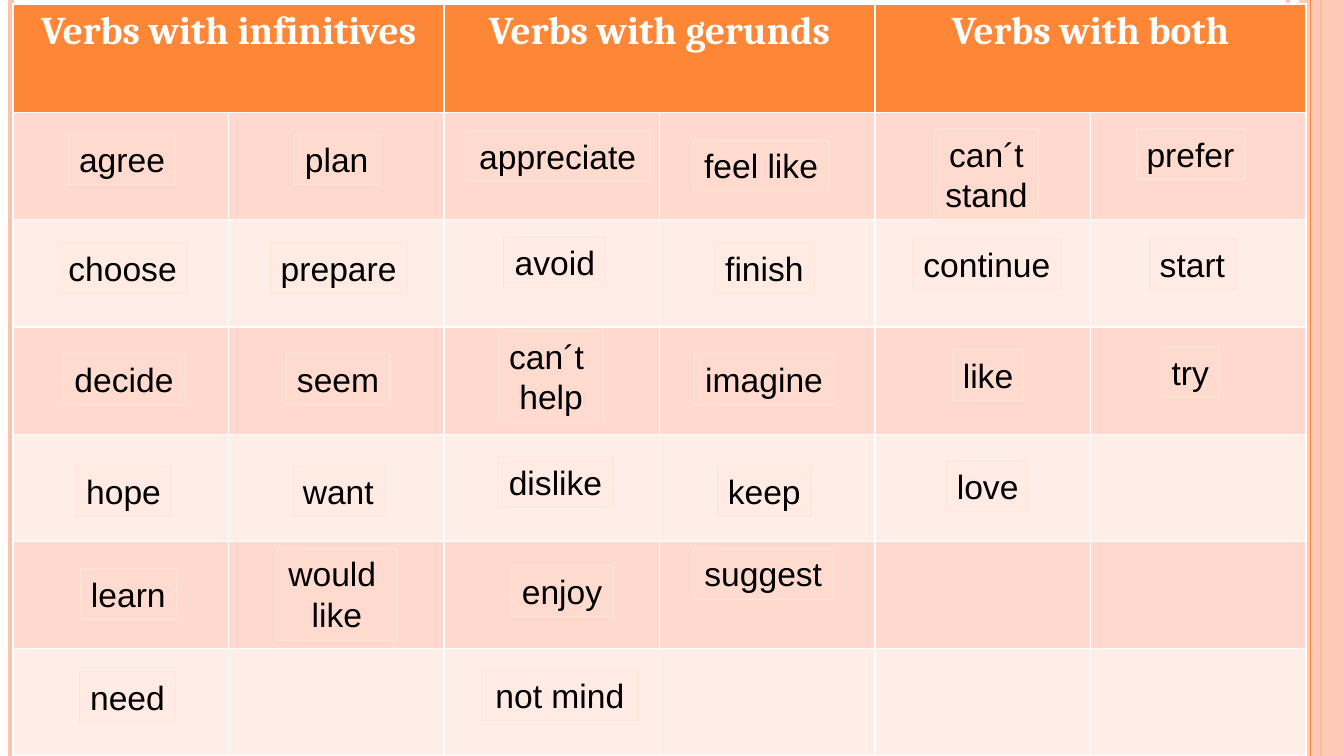
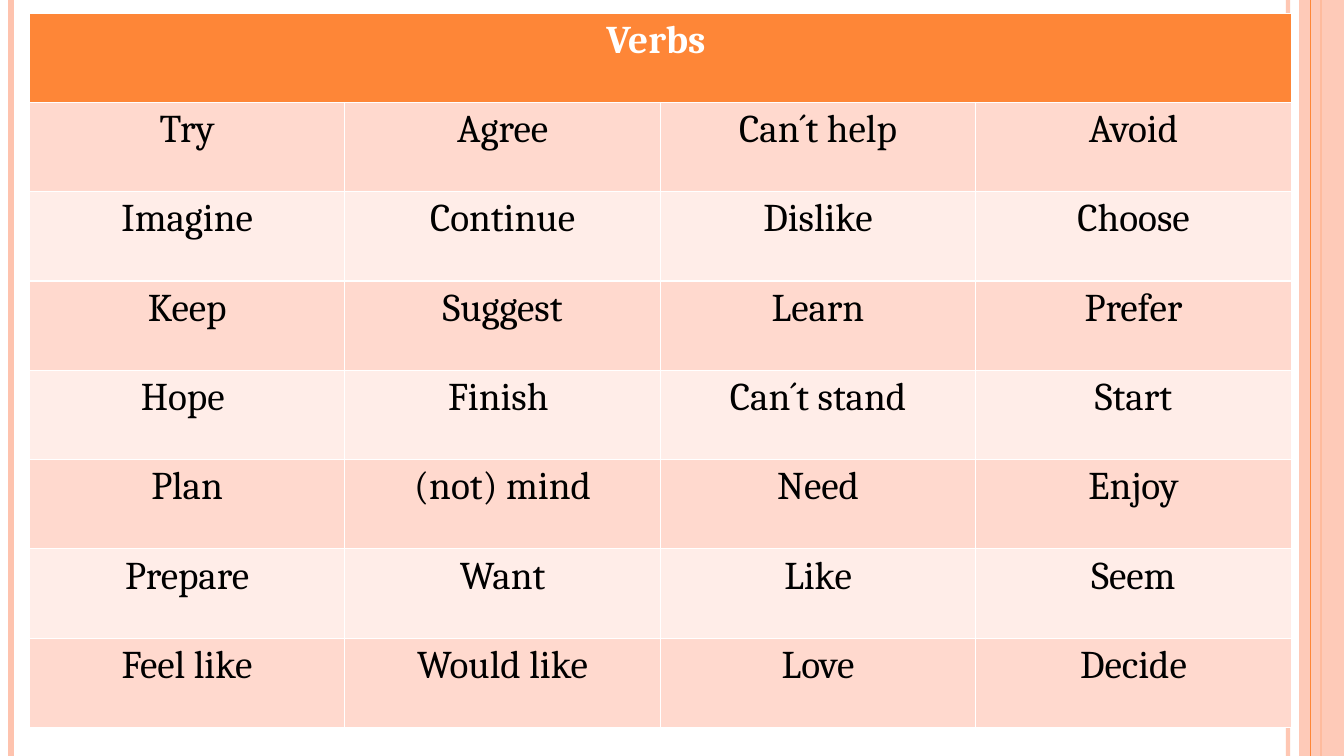
"""Build two slides that sort English verbs by the form that follows them."""
from pptx import Presentation
from pptx.dml.color import RGBColor as RGB
from pptx.enum.shapes import MSO_CONNECTOR as LINK, MSO_SHAPE as SHAPE
from pptx.enum.text import MSO_AUTO_SIZE as AUTO, PP_ALIGN as ALIGN
from pptx.oxml.ns import qn
from pptx.oxml.xmlchemy import OxmlElement as Node
from pptx.util import Cm, Pt

HUES = {
    "head": "FE8637", "edge": "FEC3AE", "odd": "FFD9CE", "even": "FFEDE8",
    "chip": "FFE7D7", "white": "FFFFFF", "black": "000000",
}
INK = {name: RGB.from_string(code) for name, code in HUES.items()}
WIDE, HIGH = 33.87, 19.05


def fade(shape, part):
    """Make the first colour of a shape partly clear."""
    alpha = Node("a:alpha")
    alpha.set("val", str(part * 1000))
    next(shape.element.iter(qn("a:srgbClr"))).append(alpha)


def grid(slide, left, top, width, heights, heads, body):
    """Add a banded table whose headings share its width equally."""
    count = len(body[0])
    span = count // len(heads)
    table = slide.shapes.add_table(
        len(heights), count, Cm(left), Cm(top),
        Cm(width * count), Cm(sum(heights))).table
    for col in table.columns:
        col.width = Cm(width)
    for row, high in zip(table.rows, heights):
        row.height = Cm(high)
    for n, text in enumerate(heads):
        first = table.cell(0, n * span)
        first.merge(table.cell(0, n * span + span - 1))
        first.text_frame.text = text
    for y, words in enumerate(body, 1):
        for x, word in enumerate(words):
            table.cell(y, x).text_frame.text = word
    for y, row in enumerate(table.rows):
        for cell in row.cells:
            cell.fill.solid()
            band = "odd" if y % 2 else "even"
            cell.fill.fore_color.rgb = INK[band if y else "head"]
            para = cell.text_frame.paragraphs[0]
            para.alignment = ALIGN.CENTER
            for run in para.runs:
                run.font.name = "Cambria"
                run.font.size = Pt(28)
                run.font.bold = y == 0
                run.font.color.rgb = INK["black" if y else "white"]


prs = Presentation()
prs.slide_width, prs.slide_height = Cm(WIDE), Cm(HIGH)
blank = prs.slide_layouts[6]
sort = prs.slides.add_slide(blank)
pool = prs.slides.add_slide(blank)

rules = [(32.46, 3, "edge"), (0.28, 4.5, "edge"),
         (33.3, 1.5, "head"), (33.02, 0.75, "head")]
frame = []
for x, thick, hue in rules:
    rule = sort.shapes.add_connector(LINK.STRAIGHT, Cm(x), 0, Cm(x), Cm(HIGH))
    rule.line.width = Pt(thick)
    rule.line.color.rgb = INK[hue]
    rule.element.spPr.append(Node("a:effectLst"))
    frame.append(rule)
fade(frame[0], 93)

side = sort.shapes.add_shape(SHAPE.RECTANGLE, Cm(32.74), 0, Cm(1.13), Cm(HIGH))
side.shadow.inherit = False
side.fill.solid()
side.fill.fore_color.rgb = INK["edge"]
side.line.fill.background()
fade(side, 87)
frame.insert(3, side)

tree = prs.slide_master.shapes.element
for n, part in enumerate(frame, 20):
    part.element.xpath(".//p:cNvPr")[0].set("id", str(n))
    tree.append(part.element)

grid(sort, 0.33, 0.1, 5.43, [2.74] + [2.7] * 6,
     ["Verbs with infinitives", "Verbs with gerunds", "Verbs with both"],
     [[""] * 6] * 6)

chips = [
    ("agree", 1.73, 3.38, 2.69), ("choose", 1.45, 6.12, 3.28),
    ("decide", 1.6, 8.92, 3.05), ("hope", 1.91, 11.73, 2.41),
    ("learn", 2.03, 14.33, 2.41), ("need", 2.01, 16.92, 2.41),
    ("plan", 7.42, 3.38, 2.13), ("prepare", 6.81, 6.12, 3.45),
    ("seem", 7.21, 8.92, 2.62), ("want", 7.37, 11.73, 2.31),
    ("would \nlike", 6.99, 13.82, 3),
    ("appreciate", 11.73, 3.3, 4.65), ("avoid", 12.7, 5.97, 2.57),
    ("can´t \nhelp", 12.57, 8.33, 2.64), ("dislike", 12.55, 11.51, 2.9),
    ("enjoy", 12.88, 14.25, 2.57), ("not mind", 12.14, 16.87, 3.94),
    ("feel like", 17.48, 3.53, 3.4), ("finish", 18.01, 6.12, 2.51),
    ("imagine", 17.5, 8.92, 3.51), ("keep", 18.08, 11.73, 2.36),
    ("suggest", 17.48, 13.82, 3.51),
    ("can´t\nstand", 23.55, 3.25, 2.62), ("continue", 22.99, 6.02, 3.76),
    ("like", 24, 8.81, 1.8), ("love", 23.85, 11.61, 2.08),
    ("prefer", 28.63, 3.25, 2.74), ("start", 28.96, 6.02, 2.18),
    ("try", 29.26, 8.74, 1.47),
]
for text, left, top, width in chips:
    high = 2.31 if "\n" in text else 1.28
    chip = sort.shapes.add_textbox(Cm(left), Cm(top), Cm(width), Cm(high))
    chip.fill.solid()
    chip.fill.fore_color.rgb = INK["chip"]
    fade(chip, 20)
    chip.line.color.rgb = INK["chip"]
    chip.line.width = Pt(0.75)
    body = chip.text_frame
    body.text = text
    body.word_wrap = text == "appreciate"
    body.auto_size = AUTO.SHAPE_TO_FIT_TEXT
    for para in body.paragraphs:
        para.alignment = ALIGN.CENTER
        font = para.runs[0].font
        font.name, font.size = "Arial", Pt(24)
        font.color.rgb = INK["black"]

verbs = [
    ["Try", "Agree", "Can´t help", "Avoid"],
    ["Imagine", "Continue", "Dislike", "Choose"],
    ["Keep", "Suggest", "Learn", "Prefer"],
    ["Hope ", "Finish ", "Can´t stand", "Start"],
    ["Plan", "(not) mind", "Need", "Enjoy"],
    ["Prepare", "Want", "Like", "Seem"],
    ["Feel like", "Would like", "Love", "Decide"],
]
grid(pool, 0.74, 0.33, 7.95, [2.25] * 8, ["Verbs "], verbs)

prs.save("out.pptx")
